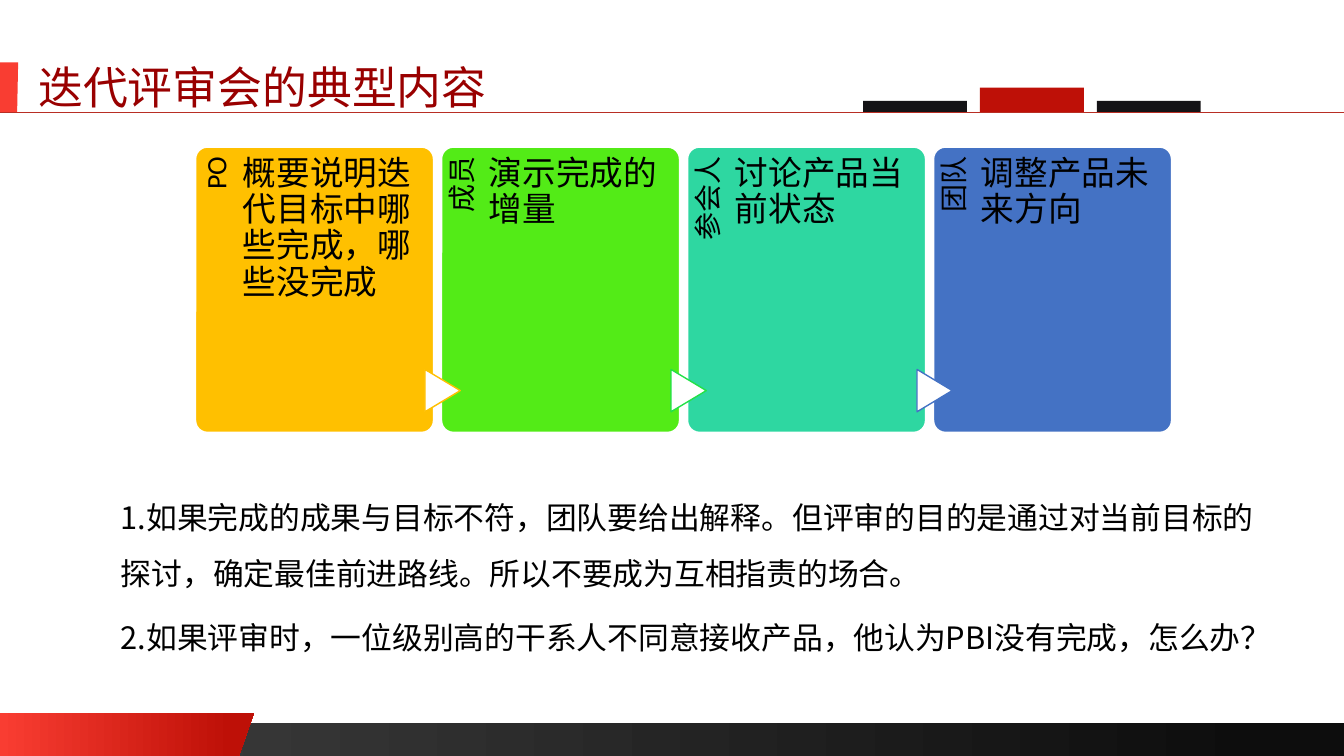
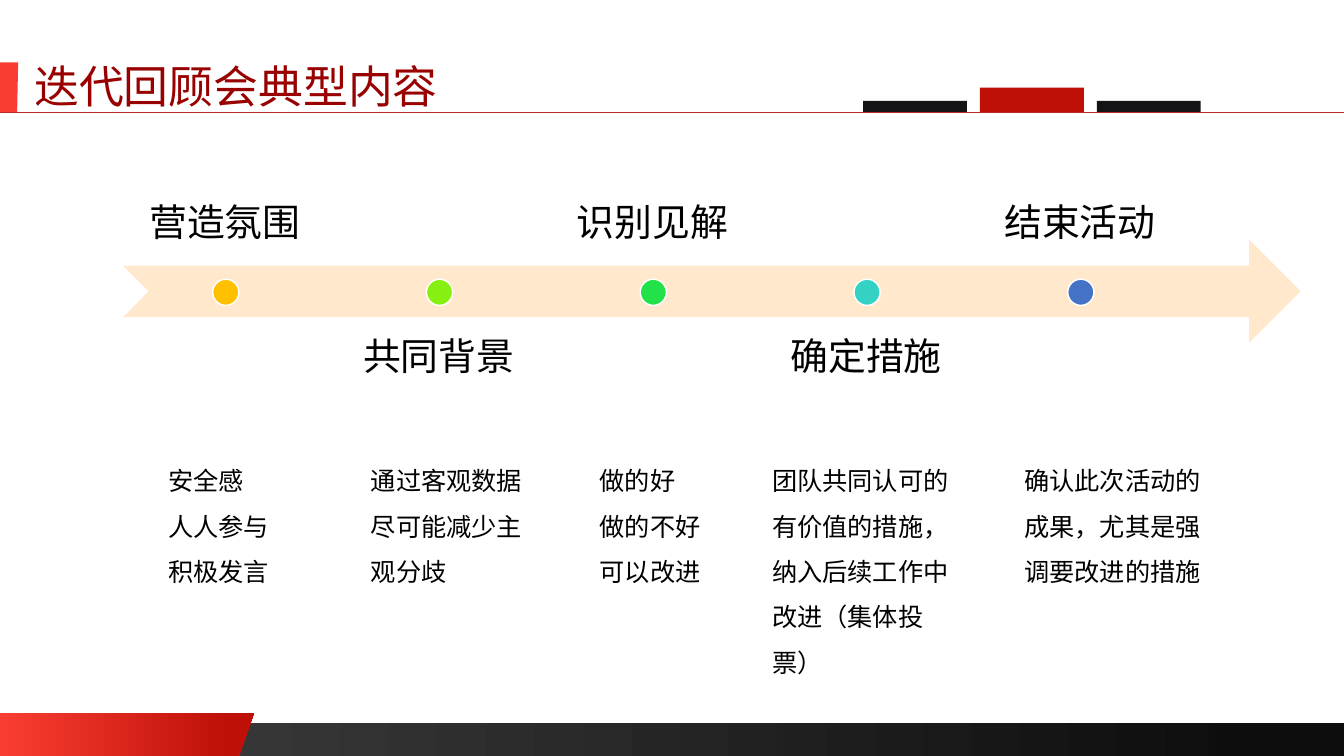
from lxml.etree import SubElement
from pptx import Presentation
from pptx.dml.color import RGBColor
from pptx.enum.shapes import MSO_CONNECTOR, MSO_SHAPE
from pptx.enum.text import MSO_ANCHOR, PP_ALIGN
from pptx.oxml.ns import qn
from pptx.util import Inches, Pt

# Content
REVIEW_TITLE = "迭代评审会的典型内容"
REVIEW_STEPS = [  # role, activity, card colour, colour of the arrow to the next card
    ("PO", "概要说明迭代目标中哪些完成，哪些没完成", "amber", "amber"),
    ("成员", "演示完成的增量", "lime", "green"),
    ("参会人", "讨论产品当前状态", "mint", "blue"),
    ("团队", "调整产品未来方向", "blue", None),
]
REVIEW_REMARKS = [
    "1.如果完成的成果与目标不符，团队要给出解释。但评审的目的是通过对当前目标的探讨，"
    "确定最佳前进路线。所以不要成为互相指责的场合。",
    "2.如果评审时，一位级别高的干系人不同意接收产品，他认为PBI没有完成，怎么办？",
]
RETRO_TITLE = "迭代回顾会典型内容"
RETRO_STAGES = [  # stage, dot colour, left and width of the details, details
    ("营造氛围", "amber", 1.57, 1.21, ["安全感", "人人参与", "积极发言"]),
    ("共同背景", "yellow_green", 3.58, 1.82, ["通过客观数据", "尽可能减少主观分歧"]),
    ("识别见解", "green", 5.85, 1.21, ["做的好", "做的不好", "可以改进"]),
    ("确定措施", "turquoise", 7.56, 2, ["团队共同认可的有价值的措施，纳入后续工作中改进（集体投票）"]),
    ("结束活动", "blue", 10.06, 2.1, ["确认此次活动的成果，尤其是强调要改进的措施"]),
]

# Shared style
COLORS = {
    "white": "FFFFFF", "text": "000000", "title": "990000", "rule": "B82E24",
    "bright_red": "F93D32", "deep_red": "BE1007", "block": "141316",
    "band_start": "404040", "band_end": "0D0D0D", "timeline": "FFE8CC",
    "amber": "FFC000", "lime": "53EB17", "mint": "2ED7A1", "blue": "4472C4",
    "yellow_green": "86F011", "green": "23E148", "turquoise": "33D2C5",
}
CJK = "Noto Sans CJK SC"
WIDTH, HEIGHT = 13.33, 7.5
DEFAULT_INSETS = (0.1, 0.05, 0.1, 0.05)


def rgb(name):
    return RGBColor.from_string(COLORS[name])


def paint(shape, fill, line=None):
    """Fill with one colour, or with a left-to-right gradient (start, end, end position)."""
    shape.shadow.inherit = False
    if isinstance(fill, tuple):
        start, end, end_position = fill
        shape.fill.gradient()
        shape.fill.gradient_angle = 0
        first, last = shape.fill.gradient_stops
        first.color.rgb, first.position = rgb(start), 0
        last.color.rgb, last.position = rgb(end), end_position
    else:
        shape.fill.solid()
        shape.fill.fore_color.rgb = rgb(fill)
    if line:
        shape.line.color.rgb = rgb(line)
        shape.line.width = Pt(1)
    else:
        shape.line.fill.background()
    return shape


def add_block(slide, preset, box, fill, line=None):
    return paint(slide.shapes.add_shape(preset, *map(Inches, box)), fill, line)


def add_outline(slide, points, fill):
    corners = [(Inches(x), Inches(y)) for x, y in points]
    builder = slide.shapes.build_freeform(*corners[0])
    builder.add_line_segments(corners[1:], close=True)
    return paint(builder.convert_to_shape(), fill)


def write(frame, texts, size, font=CJK, color="text", spacing=1.0, after=0,
          align=PP_ALIGN.LEFT, anchor=MSO_ANCHOR.TOP, insets=DEFAULT_INSETS, wrap=True):
    frame.word_wrap = wrap
    frame.vertical_anchor = anchor
    (frame.margin_left, frame.margin_top,
     frame.margin_right, frame.margin_bottom) = map(Inches, insets)
    for index, text in enumerate(texts):
        paragraph = frame.add_paragraph() if index else frame.paragraphs[0]
        paragraph.text = text
        paragraph.alignment = align
        paragraph.line_spacing = spacing
        paragraph.space_after = Pt(after)
        paragraph.font.size = Pt(size)
        paragraph.font.name = font
        paragraph.font.color.rgb = rgb(color)
        # East Asian text takes its own typeface
        properties = paragraph.font._element
        SubElement(properties, qn("a:ea")).set("typeface", CJK)


def add_text(slide, box, texts, size, **style):
    textbox = slide.shapes.add_textbox(*map(Inches, box))
    write(textbox.text_frame, texts, size, **style)
    return textbox


def add_framed_slide(deck, title, title_box, title_font):
    """Title, footer bands, title rule and the three blocks on it."""
    slide = deck.slides.add_slide(deck.slide_layouts[5])
    heading = slide.shapes.title
    heading.left, heading.top, heading.width, heading.height = map(Inches, title_box)
    write(heading.text_frame, [title], 32, font=title_font, color="title",
          spacing=1.1, anchor=MSO_ANCHOR.MIDDLE, insets=(0.09, 0.04, 0.09, 0.04))

    add_block(slide, MSO_SHAPE.RECTANGLE, (0, 7.17, WIDTH, 0.33),
              ("band_start", "band_end", 0.94))
    add_outline(slide, [(0, 7.07), (2.52, 7.07), (2.37, HEIGHT), (0, HEIGHT)],
                ("bright_red", "deep_red", 0.91))
    add_outline(slide, [(0, 0.62), (0.18, 0.62), (0.17, 1.12), (0, 1.12)], "bright_red")

    rule = slide.shapes.add_connector(
        MSO_CONNECTOR.STRAIGHT, 0, Inches(1.11), Inches(WIDTH), Inches(1.11))
    rule.line.color.rgb = rgb("rule")
    rule.line.width = Pt(0.5)
    SubElement(rule._element.spPr, qn("a:effectLst"))

    for index, (height, color) in enumerate(
            [(0.11, "block"), (0.24, "deep_red"), (0.11, "block")]):
        add_block(slide, MSO_SHAPE.RECTANGLE,
                  (8.56 + 1.16 * index, 1.11 - height, 1.03, height), color)
    return slide


def build_review(deck):
    slide = add_framed_slide(deck, REVIEW_TITLE, (0.29, 0.48, 6.23, 0.71), CJK)

    # Role cards
    left, top, pitch, width, height = 1.94, 1.46, 2.44, 2.36, 2.83
    arrow_color = None
    for index, (role, activity, color, next_arrow) in enumerate(REVIEW_STEPS):
        x = left + pitch * index
        card = add_block(slide, MSO_SHAPE.ROUNDED_RECTANGLE,
                         (x, top, width, height), color, "white")
        card.adjustments[0] = 0.05
        label = add_text(slide, (x - 0.93, 2.38, 2.32, 0.47), [role], 20, font="Calibri",
                         spacing=0.9, align=PP_ALIGN.RIGHT, insets=(0, 0.07, 0.1, 0))
        label.rotation = 270
        if arrow_color:
            arrow = add_block(slide, MSO_SHAPE.FLOWCHART_EXTRACT,
                              (x - 0.2, 3.7, 0.42, 0.35), "white", arrow_color)
            arrow.rotation = 90
        arrow_color = next_arrow
        add_text(slide, (x + 0.47, top, 1.76, height), [activity], 24,
                 spacing=0.9, insets=(0, 0.09, 0, 0))

    # Remarks
    add_text(slide, (1.1, 4.72, 11.52, 1.79), REVIEW_REMARKS, 22, spacing=1.5, after=6)


def build_retro(deck):
    slide = add_framed_slide(deck, RETRO_TITLE, (0.25, 0.48, 6.38, 0.69), "Lato")

    # Timeline, with stage names above and below in turn
    left, pitch, width, dot = 1.22, 2.12, 2.02, 0.26
    add_block(slide, MSO_SHAPE.NOTCHED_RIGHT_ARROW, (left, 2.38, 11.68, 1.02), "timeline")
    for index, (stage, color, details_left, details_width, details) in enumerate(RETRO_STAGES):
        x = left + pitch * index
        label_top, anchor = ((3.15, MSO_ANCHOR.TOP) if index % 2
                             else (1.61, MSO_ANCHOR.BOTTOM))
        add_text(slide, (x, label_top, width, 1.02), [stage], 27, spacing=0.9,
                 align=PP_ALIGN.CENTER, anchor=anchor, insets=(0.21,) * 4)
        add_block(slide, MSO_SHAPE.OVAL, (x + 0.89, 2.77, dot, dot), color, "white")

        # Details of the stage
        add_text(slide, (details_left, 4.42, details_width, 1.41), details, 18, spacing=1.5)


def main():
    deck = Presentation()
    deck.slide_width, deck.slide_height = Inches(WIDTH), Inches(HEIGHT)
    build_review(deck)
    build_retro(deck)
    deck.save("out.pptx")


if __name__ == "__main__":
    main()
